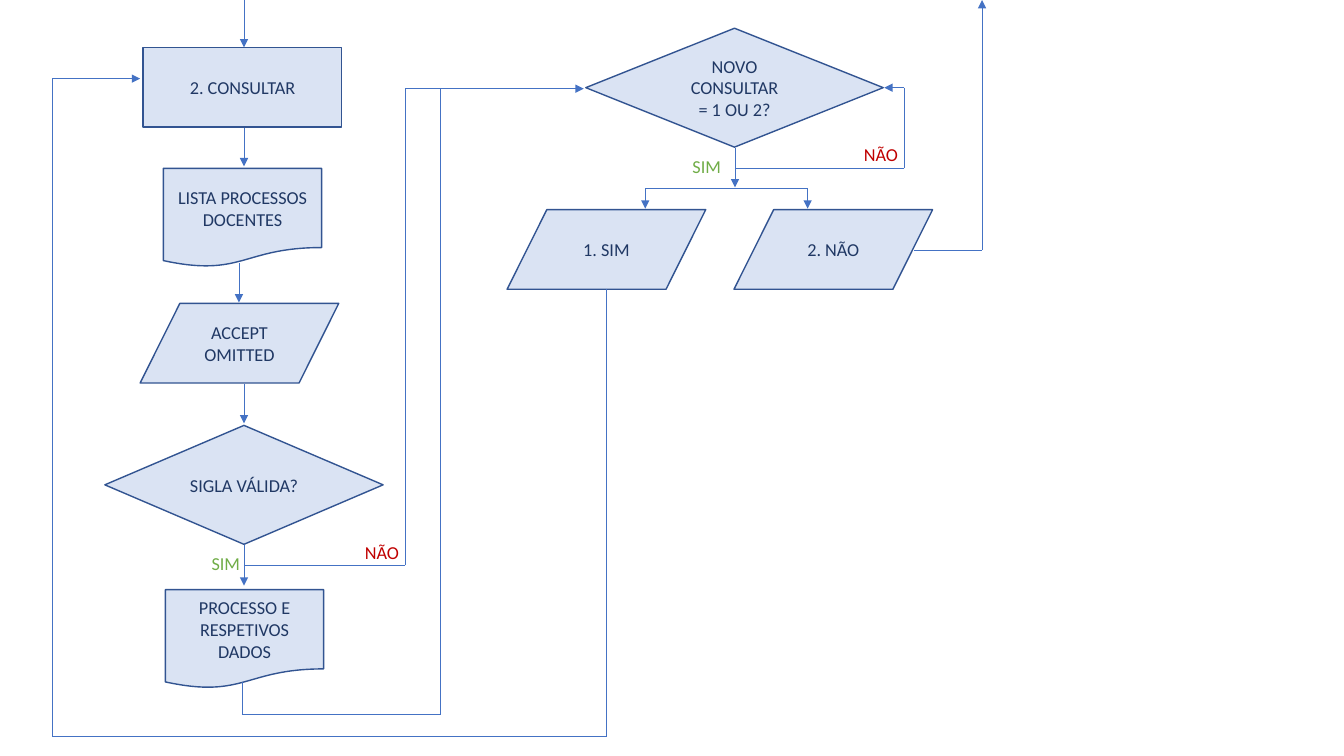
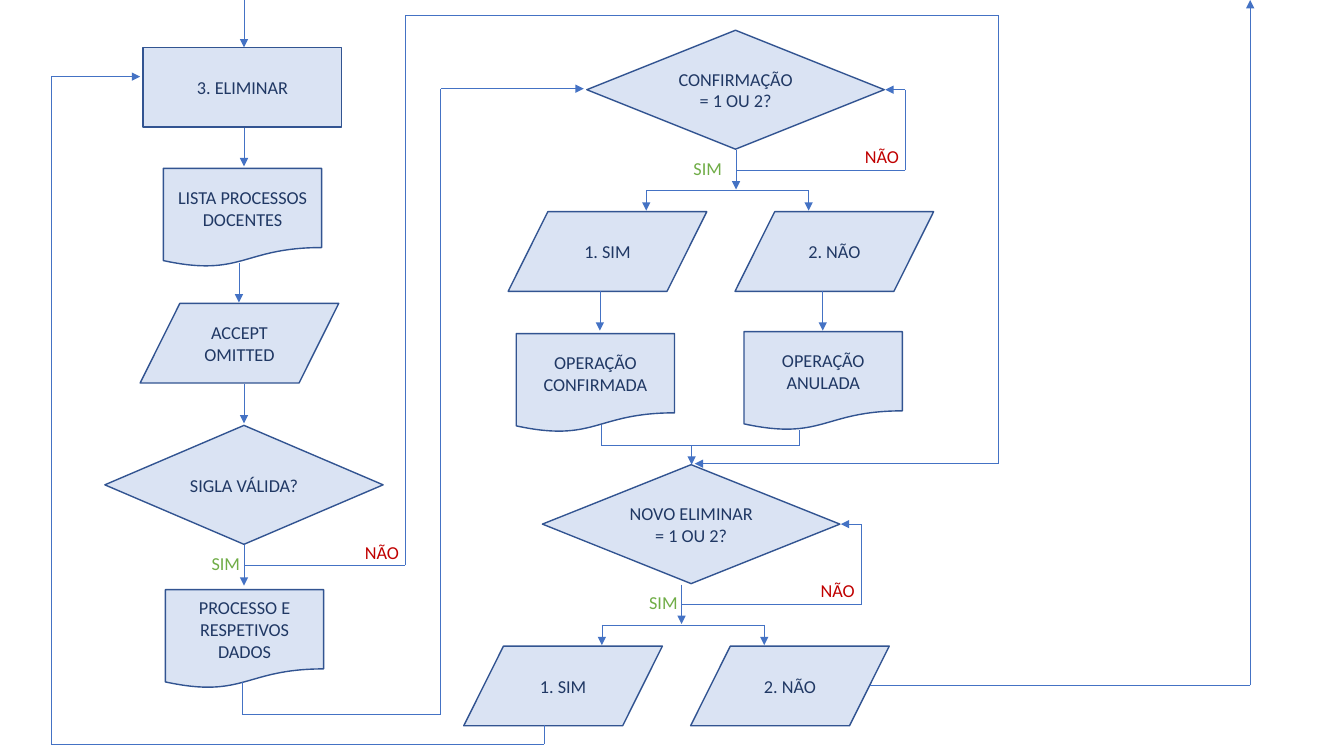
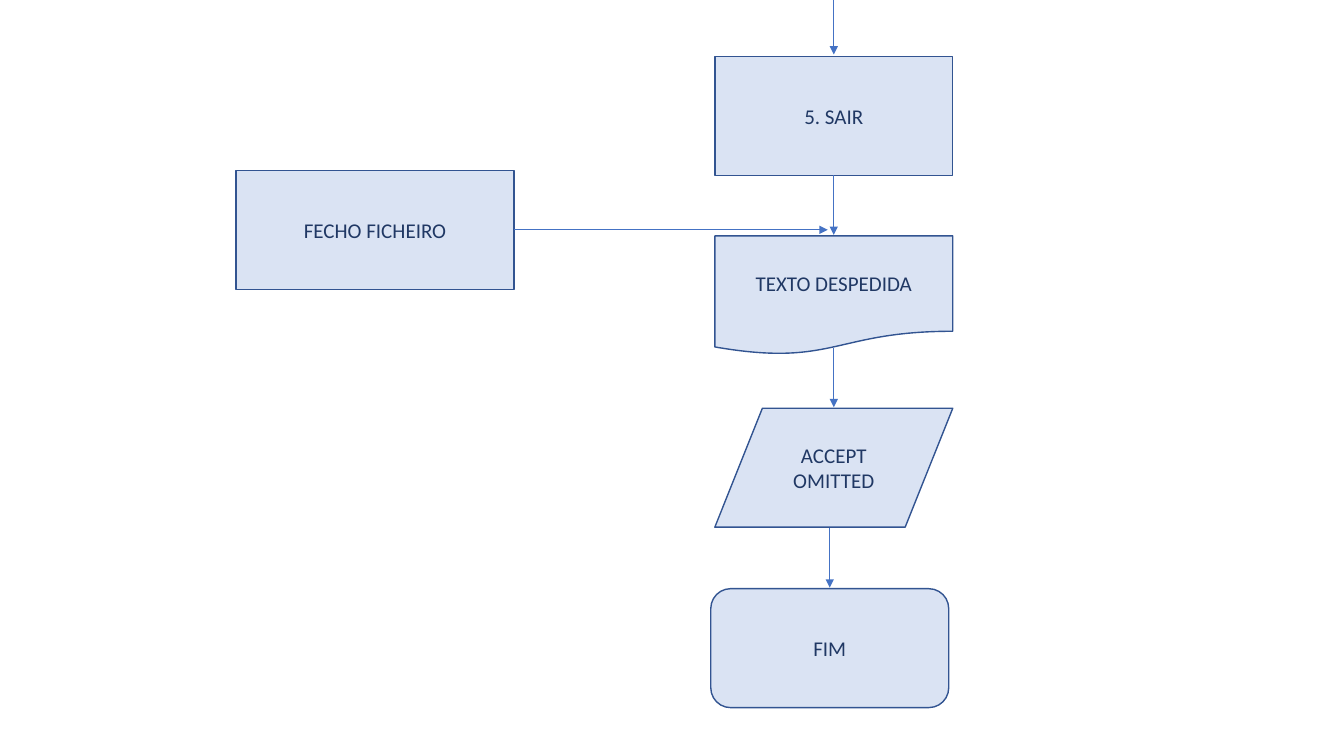
from dataclasses import dataclass
from itertools import pairwise

from lxml.etree import SubElement as Sub
from pptx import Presentation
from pptx.dml.color import RGBColor as Rgb
from pptx.enum.shapes import MSO_CONNECTOR as Link, MSO_SHAPE as Kind
from pptx.enum.text import MSO_ANCHOR as Anchor, PP_ALIGN as Align
from pptx.oxml.ns import qn
from pptx.util import Inches, Pt


@dataclass(frozen=True)
class Theme:
    font: str = "Calibri"
    fill: Rgb = Rgb.from_string("DAE3F3")
    edge: Rgb = Rgb.from_string("325491")
    line: Rgb = Rgb.from_string("4472C4")
    ink: Rgb = Rgb.from_string("203864")
    yes: Rgb = Rgb.from_string("70AD47")
    no: Rgb = Rgb.from_string("C00000")
    small: int = 13
    large: int = 15
    border: float = 1
    thin: float = 0.5


THEME = Theme()
RECT = Kind.RECTANGLE
DOC = Kind.FLOWCHART_DOCUMENT
DATA = Kind.FLOWCHART_DATA
TEST = Kind.FLOWCHART_DECISION
ROUND = Kind.FLOWCHART_ALTERNATE_PROCESS


def write(frame, text, size, color, align):
    frame.word_wrap = True
    for i, line in enumerate(text.split("\n")):
        para = frame.add_paragraph() if i else frame.paragraphs[0]
        para.alignment = align
        run = para.add_run()
        run.text = line
        run.font.name = THEME.font
        run.font.size = Pt(size)
        run.font.color.rgb = color


def node(slide, kind, x, y, w, h, text, size=THEME.small):
    shape = slide.shapes.add_shape(kind, Inches(x), Inches(y), Inches(w), Inches(h))
    shape.shadow.inherit = False
    shape.fill.solid()
    shape.fill.fore_color.rgb = THEME.fill
    shape.line.color.rgb = THEME.edge
    shape.line.width = Pt(THEME.border)
    shape.text_frame.vertical_anchor = Anchor.MIDDLE
    write(shape.text_frame, text, size, THEME.ink, Align.CENTER)


def label(slide, x, y, text, color):
    box = slide.shapes.add_textbox(Inches(x), Inches(y), Inches(0.6), Inches(0.32))
    write(box.text_frame, text, THEME.small, color, Align.LEFT)


def route(slide, *points, arrow=True):
    legs = list(pairwise(points))
    for i, (start, end) in enumerate(legs, 1):
        spots = [Inches(v) for v in (*start, *end)]
        leg = slide.shapes.add_connector(Link.STRAIGHT, *spots)
        leg.line.color.rgb = THEME.line
        leg.line.width = Pt(THEME.thin)
        if arrow and i == len(legs):
            Sub(leg.line._get_or_add_ln(), qn("a:tailEnd"), type="triangle")
        Sub(leg._element.spPr, qn("a:effectLst"))


def drop(slide, x, top, end):
    route(slide, (x, top), (x, end))


def search(slide, title):
    for x, top, end in ((2.42, 0, 0.47), (2.42, 1.26, 1.65), (2.37, 2.61, 3),
                        (2.42, 3.81, 4.2), (2.42, 5.41, 5.81)):
        drop(slide, x, top, end)
    node(slide, RECT, 1.42, 0.47, 1.97, 0.79, title)
    node(slide, DOC, 1.62, 1.67, 1.57, 0.98, "LISTA PROCESSOS DOCENTES")
    node(slide, DATA, 1.39, 3.01, 1.97, 0.79, "ACCEPT OMITTED")
    node(slide, TEST, 1.04, 4.22, 2.76, 1.18, "SIGLA VÁLIDA?")
    node(slide, DOC, 1.64, 5.85, 1.57, 0.98, "PROCESSO E RESPETIVOS DADOS")
    label(slide, 2, 5.43, "SIM", THEME.yes)
    label(slide, 3.52, 5.32, "NÃO", THEME.no)
    route(slide, (2.4, 6.77), (2.4, 7.09), (4.37, 7.09), (4.37, 0.88), (5.79, 0.88))


def choice(slide, x, y, text, stem=1.48):
    node(slide, TEST, x, y, 2.95, 1.18, text)
    label(slide, x + 0.96, y + 1.21, "SIM", THEME.yes)
    label(slide, x + 2.66, y + 1.09, "NÃO", THEME.no)
    drop(slide, x + stem, y + 1.19, y + 1.58)
    route(slide, (x + stem, y + 1.39), (x + 3.16, y + 1.39),
          (x + 3.16, y + 0.59), (x + 2.96, y + 0.59))
    fork = y + 1.59
    route(slide, (x + 0.59, fork), (x + 2.2, fork), arrow=False)
    for tip, left, answer in ((0.59, -0.78, "1. SIM"), (2.2, 1.47, "2. NÃO")):
        drop(slide, x + tip, fork, y + 1.79)
        node(slide, DATA, x + left, y + 1.8, 1.97, 0.79, answer)


def consult(slide):
    search(slide, "2. CONSULTAR")
    choice(slide, 5.81, 0.28, "NOVO CONSULTAR\n= 1 OU 2?")
    route(slide, (2.42, 5.61), (4.02, 5.61), (4.02, 0.88), (4.37, 0.88), arrow=False)
    route(slide, (6.01, 2.87), (6.01, 7.31), (0.52, 7.31), (0.52, 0.78), (1.39, 0.78))
    route(slide, (9.07, 2.48), (9.74, 2.48), (9.74, 0))


def delete(slide):
    search(slide, "3. ELIMINAR")
    choice(slide, 5.82, 0.3, "CONFIRMAÇÃO\n= 1 OU 2?")
    choice(slide, 5.38, 4.61, "NOVO ELIMINAR\n= 1 OU 2?", stem=1.38)
    node(slide, DOC, 5.12, 3.31, 1.57, 0.98, "OPERAÇÃO CONFIRMADA")
    node(slide, DOC, 7.38, 3.29, 1.57, 0.98, "OPERAÇÃO ANULADA")
    drop(slide, 5.95, 2.89, 3.28)
    drop(slide, 8.16, 2.89, 3.28)
    route(slide, (5.96, 4.22), (5.96, 4.42), (7.93, 4.42), (7.93, 4.27), arrow=False)
    drop(slide, 6.86, 4.42, 4.61)
    route(slide, (2.42, 5.61), (4.02, 5.61), (4.02, 0.15), (9.9, 0.15),
          (9.9, 4.6), (6.89, 4.6))
    route(slide, (5.4, 7.19), (5.4, 7.38), (0.51, 7.38), (0.51, 0.76), (1.39, 0.76))
    route(slide, (8.63, 6.8), (12.4, 6.8), (12.4, 0))


def leave(slide):
    for kind, x, y, w, text in (
        (RECT, 7.09, 0.56, 2.36, "5. SAIR"),
        (DOC, 7.09, 2.34, 2.36, "TEXTO DESPEDIDA"),
        (DATA, 7.09, 4.05, 2.36, "ACCEPT OMITTED"),
        (ROUND, 7.05, 5.84, 2.36, "FIM"),
        (RECT, 2.34, 1.69, 2.76, "FECHO FICHEIRO"),
    ):
        node(slide, kind, x, y, w, 1.18, text, THEME.large)
    for x, top, end in ((8.27, 0, 0.54), (8.27, 1.74, 2.33),
                        (8.27, 3.45, 4.04), (8.23, 5.24, 5.83)):
        drop(slide, x, top, end)
    route(slide, (5.1, 2.28), (8.21, 2.28))


def main():
    deck = Presentation()
    deck.slide_width = Inches(13.33)
    deck.slide_height = Inches(7.5)
    blank = deck.slide_layouts[6]
    for draw in (consult, delete, leave):
        draw(deck.slides.add_slide(blank))
    deck.save("out.pptx")


main()
